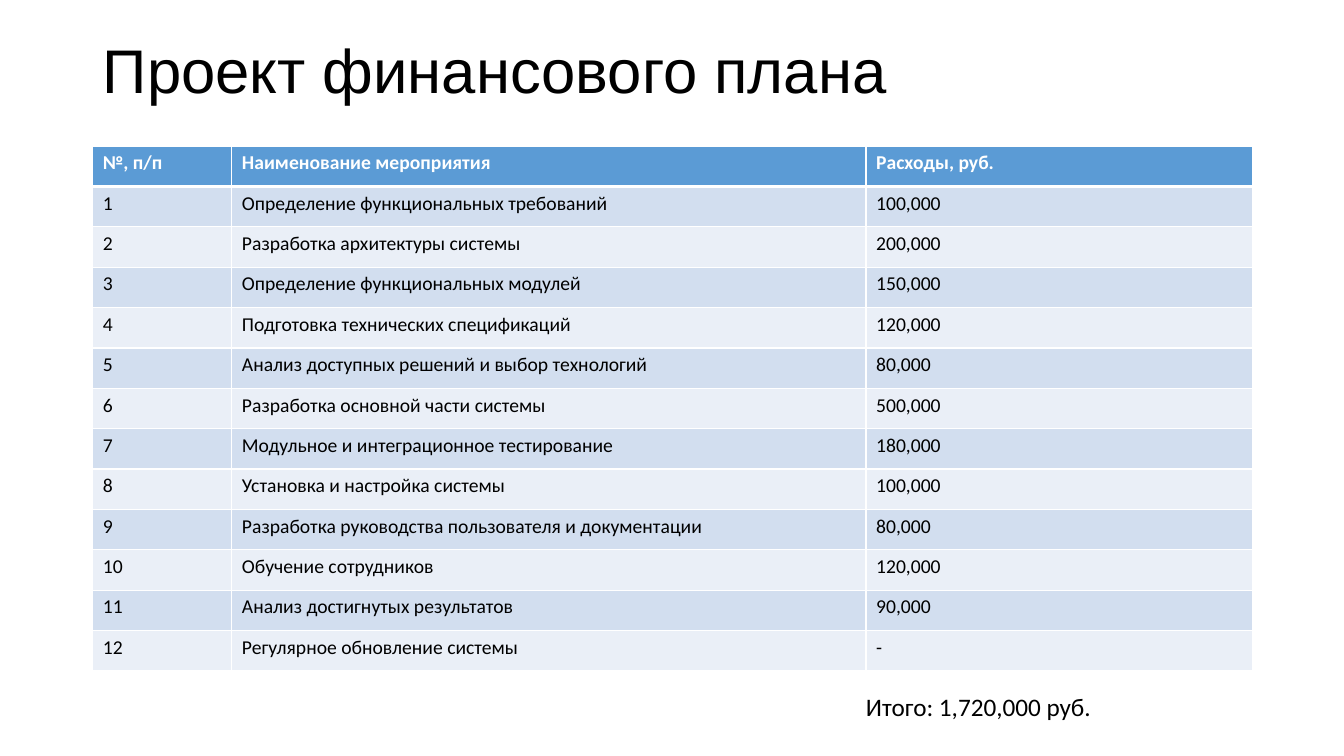
from lxml.etree import SubElement
from pptx import Presentation
from pptx.dml.color import RGBColor
from pptx.enum.text import MSO_ANCHOR, MSO_AUTO_SIZE, PP_ALIGN
from pptx.oxml.ns import qn
from pptx.util import Inches, Pt


def style(p, size, font, color, bold=False):
    p.alignment = PP_ALIGN.LEFT
    p.font.size = Pt(size)
    p.font.name = font
    p.font.bold = bold
    p.font.color.rgb = RGBColor.from_string(color)


def add_border(cell, side, width):
    ln = SubElement(cell._tc.get_or_add_tcPr(), qn(f"a:{side}"), w=str(Pt(width)))
    fill = SubElement(ln, qn("a:solidFill"))
    SubElement(fill, qn("a:srgbClr"), val="FFFFFF")


HEADER = ("№, п/п", "Наименование мероприятия", "Расходы, руб.")
EXPENSES = [
    ("Определение функциональных требований", "100,000"),
    ("Разработка архитектуры системы", "200,000"),
    ("Определение функциональных модулей", "150,000"),
    ("Подготовка технических спецификаций", "120,000"),
    ("Анализ доступных решений и выбор технологий", "80,000"),
    ("Разработка основной части системы", "500,000"),
    ("Модульное и интеграционное тестирование", "180,000"),
    ("Установка и настройка системы", "100,000"),
    ("Разработка руководства пользователя и документации", "80,000"),
    ("Обучение сотрудников", "120,000"),
    ("Анализ достигнутых результатов", "90,000"),
    ("Регулярное обновление системы", "-"),
]
COL_WIDTHS = (1.38, 6.29, 3.83)
TABLE_HEIGHT = 5.21

prs = Presentation()
prs.slide_width, prs.slide_height = Inches(13.33), Inches(7.5)
s = prs.slides.add_slide(prs.slide_layouts[5])

# Title
title = s.shapes.title
title.left, title.top = Inches(0.92), Inches(0)
title.width, title.height = Inches(11.5), Inches(1.45)
tf = title.text_frame
tf.text = "Проект финансового плана"
tf.vertical_anchor = MSO_ANCHOR.MIDDLE
tf.paragraphs[0].line_spacing = 0.9
style(tf.paragraphs[0], 44, "Arial", "000000")

# Expense table
rows = [HEADER] + [(str(n), *row) for n, row in enumerate(EXPENSES, 1)]
table = s.shapes.add_table(len(rows), len(HEADER), Inches(0.92), Inches(1.45),
                           Inches(11.5), Inches(TABLE_HEIGHT)).table
for col, width in zip(table.columns, COL_WIDTHS):
    col.width = Inches(width)
for i, row in enumerate(rows):
    table.rows[i].height = Inches(TABLE_HEIGHT / len(rows))
    is_header = i == 0
    band = "5B9BD5" if is_header else ("EAEFF7", "D2DEEF")[i % 2]
    for j, text in enumerate(row):
        cell = table.cell(i, j)
        cell.text = text
        style(cell.text_frame.paragraphs[0], 14, "Calibri",
              "FFFFFF" if is_header else "000000", is_header)
        for side in ("lnL", "lnR", "lnT", "lnB"):
            thick = (is_header and side == "lnB") or (i == 1 and side == "lnT")
            add_border(cell, side, 3 if thick else 1)
        cell.fill.solid()
        cell.fill.fore_color.rgb = RGBColor.from_string(band)

# Total
total = s.shapes.add_textbox(Inches(8.49), Inches(6.81), Inches(2.69), Inches(0.4))
tf = total.text_frame
tf.text = "Итого: 1,720,000 руб."
tf.word_wrap = False
tf.auto_size = MSO_AUTO_SIZE.SHAPE_TO_FIT_TEXT
style(tf.paragraphs[0], 18, "Calibri", "000000")

prs.save("out.pptx")
